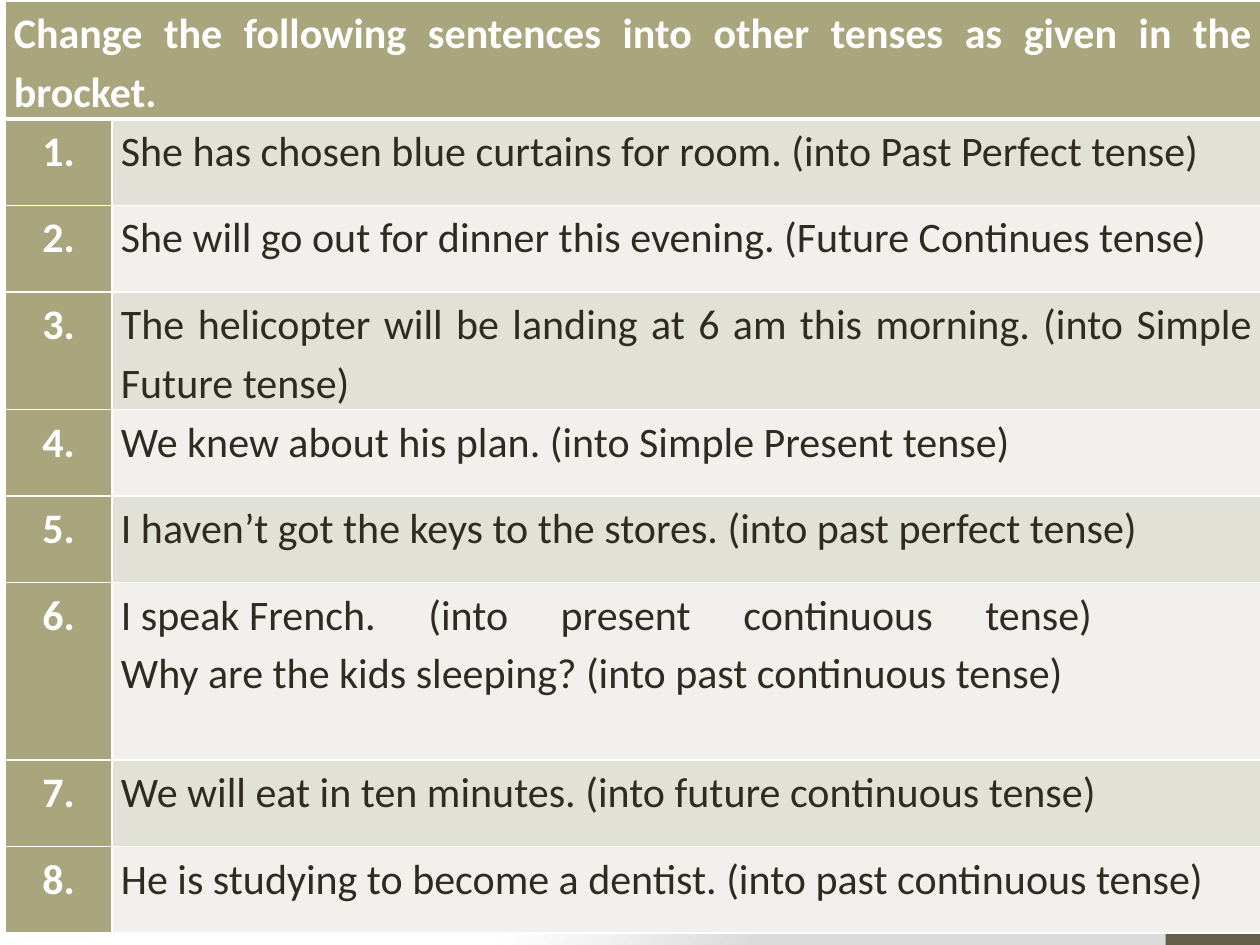
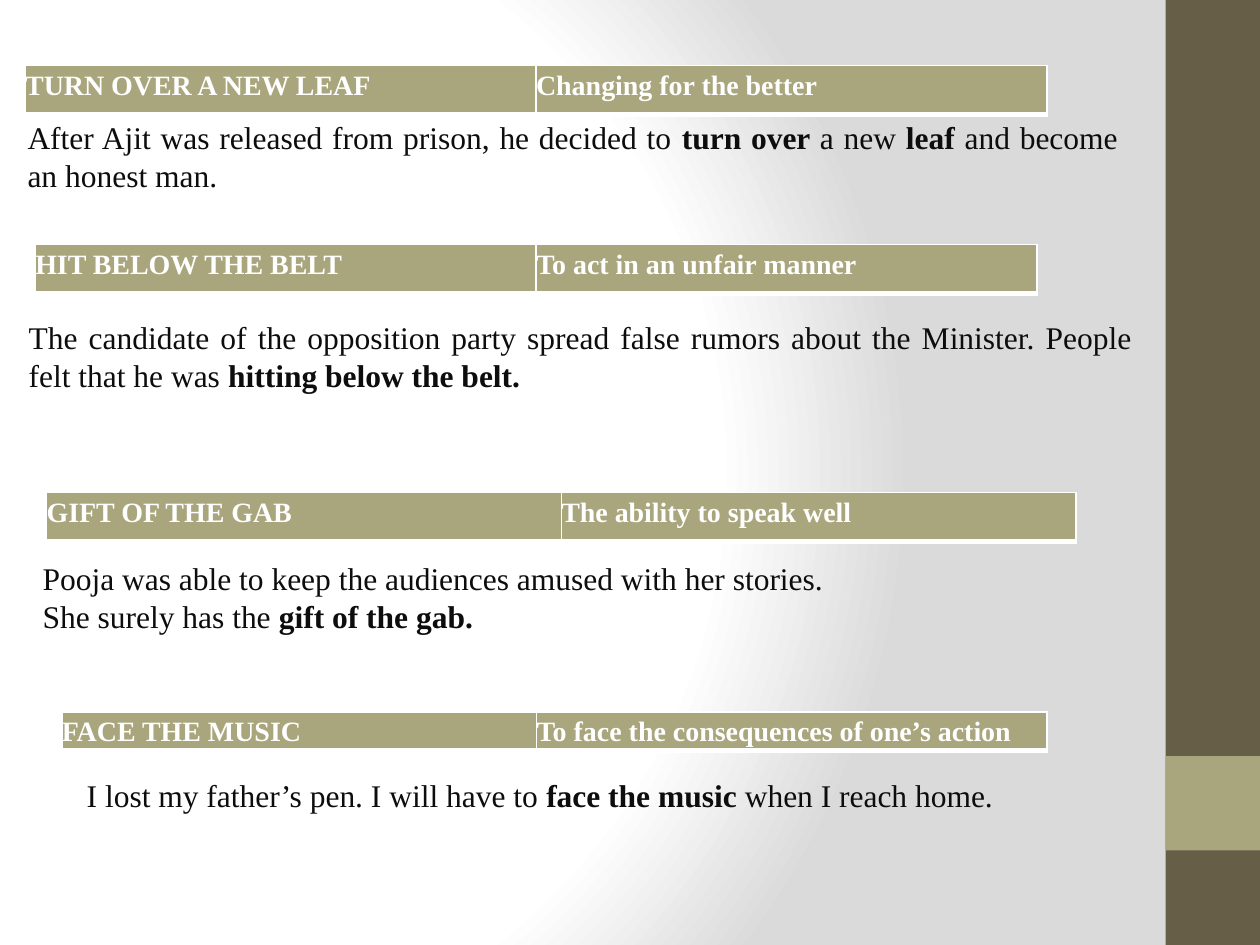
from dataclasses import dataclass

from lxml.etree import SubElement
from pptx import Presentation
from pptx.dml.color import RGBColor
from pptx.enum.shapes import MSO_SHAPE
from pptx.enum.text import MSO_ANCHOR, MSO_AUTO_SIZE, PP_ALIGN
from pptx.oxml import parse_xml
from pptx.oxml.ns import nsdecls, qn
from pptx.util import Emu, Inches, Pt

WIDTH, HEIGHT = Inches(10), Inches(7.5)
COLUMN, ROW = WIDTH / 100, HEIGHT / 75

WHITE = RGBColor(0xFF, 0xFF, 0xFF)
GREY = RGBColor(0xDA, 0xDA, 0xDA)
BROWN = RGBColor(0x67, 0x5E, 0x47)
SAGE = RGBColor(0xA9, 0xA5, 0x7C)
BAND_DARK = RGBColor(0xE2, 0xE1, 0xD7)
BAND_LIGHT = RGBColor(0xF1, 0xF0, 0xEC)
INK = RGBColor(0x2F, 0x2B, 0x20)
BLACK = RGBColor(0x0D, 0x0D, 0x0D)

SANS, SERIF = "Calibri", "Times New Roman"
THIN, THICK = Pt(1), Pt(3)


@dataclass(frozen=True)
class Box:
    left: float
    top: float
    width: float
    height: float

    def emu(self) -> tuple[Emu, Emu, Emu, Emu]:
        return cols(self.left), rows(self.top), cols(self.width), rows(self.height)


@dataclass(frozen=True)
class TextStyle:
    font: str
    size: int
    color: RGBColor
    bold: bool | None = None
    align: PP_ALIGN = PP_ALIGN.JUSTIFY
    spacing: float | None = None


@dataclass(frozen=True)
class Exercise:
    sentence: str
    height: float = 6.86
    tabs: tuple[float, ...] = ()


@dataclass(frozen=True)
class Idiom:
    phrase: str
    meaning: str
    left: float
    top: float
    widths: tuple[float, float]
    height: float
    example_box: Box
    example: tuple[str, ...]


SIDEBAR = (
    (Box(92.5, 0, 7.5, 75), BROWN),
    (Box(92.5, 60, 7.5, 7.5), SAGE),
)

HEADING = TextStyle(SANS, 24, WHITE, True, spacing=1.15)
NUMBER = TextStyle(SANS, 24, WHITE, True, PP_ALIGN.CENTER, 1.15)
SENTENCE = TextStyle(SANS, 24, INK, False, spacing=1.15)
TABBED = TextStyle(SANS, 24, INK, False, PP_ALIGN.LEFT, 1.15)
IDIOM = TextStyle(SERIF, 16, WHITE, True, spacing=1.15)
EXAMPLE = TextStyle(SERIF, 18, BLACK)

INSTRUCTION = "Change the following sentences into other tenses as given in the brocket."
EXERCISES = (
    Exercise("She has chosen blue curtains for room. (into Past Perfect tense)"),
    Exercise("She will go out for dinner this evening. (Future Continues tense)"),
    Exercise("The helicopter will be landing at 6 am this morning. "
             "(into Simple Future tense)", 9.2),
    Exercise("We knew about his plan. (into Simple Present tense)"),
    Exercise("I haven’t got the keys to the stores. (into past perfect tense)"),
    Exercise("I speak French.\t(into\tpresent\tcontinuous\ttense)\v"
             "Why are the kids sleeping? (into past continuous tense)",
             14.1, (24.4, 34.9, 49.4, 68.6)),
    Exercise("We will eat in ten minutes. (into future continuous tense)"),
    Exercise("He is studying to become a dentist. (into past continuous tense)"),
)

IDIOMS = (
    Idiom("TURN OVER A NEW LEAF", "Changing for the better",
          2, 5.2, (40.55, 40.55), 3.9, Box(1.2, 8.8, 88.5, 7.1),
          ("After Ajit was released from prison, he decided to **turn over **"
           "a new **leaf** and become an honest man.",)),
    Idiom("HIT BELOW THE BELT", "To act in an unfair manner",
          2.8, 19.4, (39.75, 39.75), 3.9, Box(1.3, 24.7, 89.6, 7.1),
          ("The candidate of the opposition party spread false rumors about the "
           "Minister. People felt that he was **hitting below the belt.**",)),
    Idiom("GIFT OF THE GAB", "The ability to speak well",
          3.7, 39.1, (40.85, 40.85), 3.9, Box(2.4, 43.8, 83.5, 7.1),
          ("Pooja was able to keep the audiences amused with her stories.",
           "She surely has the **gift of the gab.**")),
    Idiom("FACE THE MUSIC", "To face the consequences of one’s action",
          4.9, 56.5, (37.7, 40.5), 3, Box(5.9, 61.1, 74.7, 4),
          ("I lost my father’s pen. I will have to **face the music** "
           "when I reach home.",)),
)


def cols(count: float) -> Emu:
    return Emu(round(count * COLUMN))


def rows(count: float) -> Emu:
    return Emu(round(count * ROW))


def set_background(master) -> None:
    fill = master.background.fill
    fill.solid()
    stops = "".join(
        f'<a:gs pos="{share * 1000}"><a:srgbClr val="{color}"/></a:gs>'
        for share, color in ((0, WHITE), (75, WHITE), (100, GREY))
    )
    gradient = parse_xml(
        f'<a:gradFill {nsdecls("a")} rotWithShape="1"><a:gsLst>{stops}</a:gsLst>'
        '<a:path path="circle">'
        '<a:fillToRect l="20000" t="50000" r="100000" b="50000"/>'
        "</a:path></a:gradFill>"
    )
    solid = master.element.find(f".//{qn('p:bgPr')}/{qn('a:solidFill')}")
    solid.getparent().replace(solid, gradient)


def add_slide(prs):
    s = prs.slides.add_slide(prs.slide_layouts[6])
    for box, color in SIDEBAR:
        sp = s.shapes.add_shape(MSO_SHAPE.RECTANGLE, *box.emu())
        sp.shadow.inherit = False
        sp.fill.solid()
        sp.fill.fore_color.rgb = color
        sp.line.fill.background()
    return s


def style_paragraph(p, style: TextStyle) -> None:
    p.alignment = style.align
    p.line_spacing = style.spacing
    p.font.name = style.font
    p.font.size = Pt(style.size)
    p.font.color.rgb = style.color
    p.font.bold = style.bold


def add_tabs(p, positions: tuple[float, ...]) -> None:
    tab_list = SubElement(p._p.get_or_add_pPr(), qn("a:tabLst"))
    for position in positions:
        SubElement(tab_list, qn("a:tab"), pos=str(cols(position)), algn="l")


def set_borders(cell, bottom: Emu = THIN) -> None:
    properties = cell._tc.get_or_add_tcPr()
    for index, (side, width) in enumerate(
        (("L", THIN), ("R", THIN), ("T", THIN), ("B", bottom))
    ):
        properties.insert(index, parse_xml(
            f'<a:ln{side} {nsdecls("a")} w="{width}"><a:solidFill>'
            f'<a:srgbClr val="{WHITE}"/></a:solidFill></a:ln{side}>'
        ))


def fill_cell(cell, text: str, style: TextStyle, color: RGBColor, inset: float,
              bottom: Emu = THIN, tabs: tuple[float, ...] = ()) -> None:
    cell.margin_left = cell.margin_right = cols(inset)
    cell.margin_top = cell.margin_bottom = 0
    cell.fill.solid()
    cell.fill.fore_color.rgb = color
    set_borders(cell, bottom)
    p = cell.text_frame.paragraphs[0]
    p.text = text
    if tabs:
        add_tabs(p, tabs)
    style_paragraph(p, style)


def add_grid(s, left: float, top: float, widths: tuple[float, ...],
             heights: tuple[float, ...]):
    box = Box(left, top, sum(widths), sum(heights))
    table = s.shapes.add_table(len(heights), len(widths), *box.emu()).table
    table.first_row = table.horz_banding = False
    for column, width in zip(table.columns, widths):
        column.width = cols(width)
    for row, height in zip(table.rows, heights):
        row.height = rows(height)
    return table


def add_exercises(s) -> None:
    heights = (9.2, *(exercise.height for exercise in EXERCISES))
    table = add_grid(s, 0.4, 0.1, (8.5, 91.2), heights)
    heading, rest = table.cell(0, 0), table.cell(0, 1)
    heading.merge(rest)
    set_borders(rest, THICK)
    fill_cell(heading, INSTRUCTION, HEADING, SAGE, 0.7, THICK)
    for number, exercise in enumerate(EXERCISES, 1):
        band = BAND_DARK if number % 2 else BAND_LIGHT
        style = TABBED if exercise.tabs else SENTENCE
        fill_cell(table.cell(number, 0), f"{number}.", NUMBER, SAGE, 0.7)
        fill_cell(table.cell(number, 1), exercise.sentence, style, band, 0.7,
                  tabs=exercise.tabs)


def add_example(s, idiom: Idiom) -> None:
    tf = s.shapes.add_textbox(*idiom.example_box.emu()).text_frame
    tf.word_wrap = True
    tf.auto_size = MSO_AUTO_SIZE.SHAPE_TO_FIT_TEXT
    tf.vertical_anchor = MSO_ANCHOR.MIDDLE
    for index, line in enumerate(idiom.example):
        p = tf.add_paragraph() if index else tf.paragraphs[0]
        style_paragraph(p, EXAMPLE)
        for part, text in enumerate(line.split("**")):
            if text:
                r = p.add_run()
                r.text = text
                r.font.bold = part % 2 == 1


def add_idiom(s, idiom: Idiom) -> None:
    table = add_grid(s, idiom.left, idiom.top, idiom.widths, (idiom.height,))
    for column, text in enumerate((idiom.phrase, idiom.meaning)):
        fill_cell(table.cell(0, column), text, IDIOM, SAGE, 0, THICK)
    add_example(s, idiom)


def main() -> None:
    prs = Presentation()
    prs.slide_width, prs.slide_height = WIDTH, HEIGHT
    set_background(prs.slide_master)
    add_exercises(add_slide(prs))
    s = add_slide(prs)
    for idiom in IDIOMS:
        add_idiom(s, idiom)
    prs.save("out.pptx")


if __name__ == "__main__":
    main()
